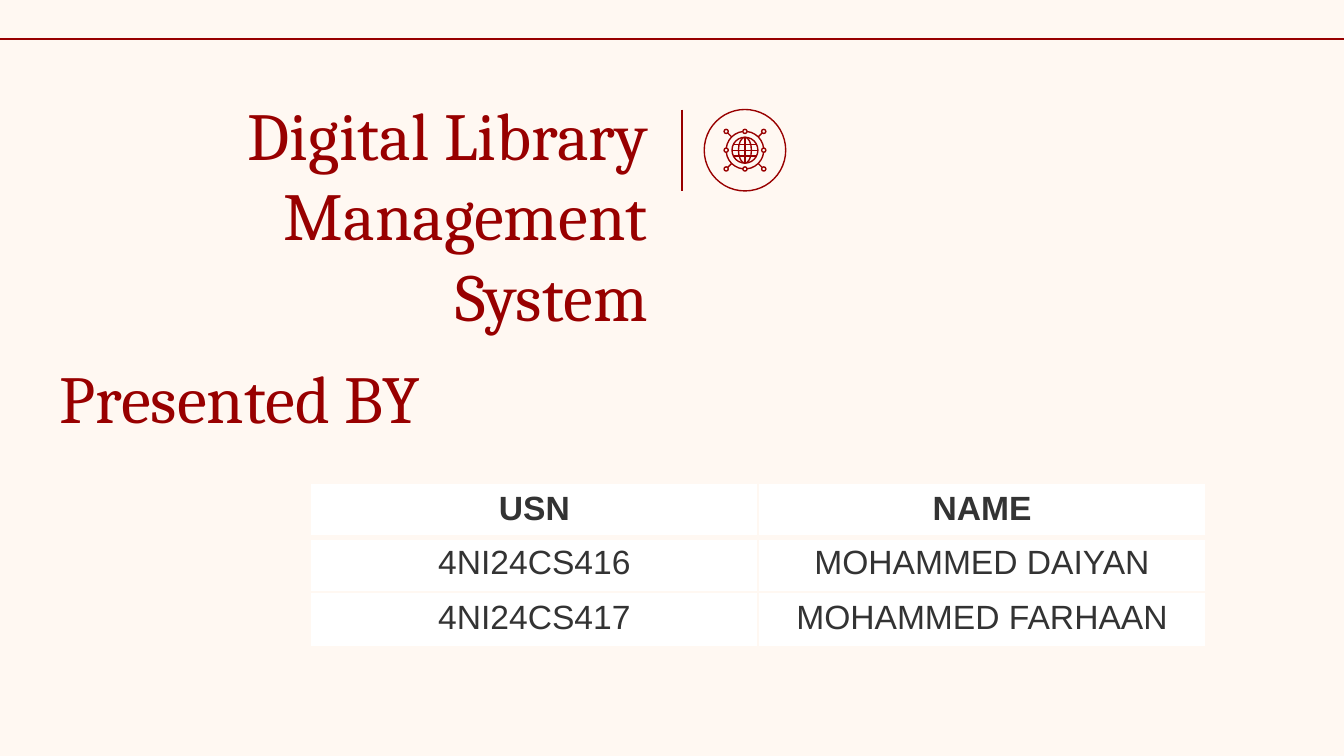
import math

from lxml import etree
from pptx import Presentation
from pptx.dml.color import RGBColor
from pptx.enum.shapes import MSO_CONNECTOR, MSO_SHAPE
from pptx.enum.text import MSO_ANCHOR, MSO_AUTO_SIZE, PP_ALIGN
from pptx.oxml.ns import qn
from pptx.util import Cm, Pt

STRAIGHT = MSO_CONNECTOR.STRAIGHT
OVAL = MSO_SHAPE.OVAL
TOP = MSO_ANCHOR.TOP
RIGHT, CENTER = PP_ALIGN.RIGHT, PP_ALIGN.CENTER
NO_AUTOFIT = MSO_AUTO_SIZE.NONE

CREAM, RED, WHITE, GREY = "FFF8F2", "980000", "FFFFFF", "333333"
SLIDE_WIDTH, SLIDE_HEIGHT = 25.4, 14.29
TITLE_ONLY = 5


def color(hex_value):
    return RGBColor.from_string(hex_value)


def write_text(frame, text, font="Cambria", size=36, fill=RED, bold=False,
               align=RIGHT):
    """Put one formatted paragraph into a text frame."""
    frame.word_wrap = True
    frame.vertical_anchor = TOP
    paragraph = frame.paragraphs[0]
    paragraph.text = text
    paragraph.alignment = align
    paragraph.font.name = font
    paragraph.font.size = Pt(size)
    paragraph.font.bold = bold
    paragraph.font.color.rgb = color(fill)


def add_line(slide, x1, y1, x2, y2):
    line = slide.shapes.add_connector(STRAIGHT, Cm(x1), Cm(y1), Cm(x2), Cm(y2))
    line.line.color.rgb = color(RED)
    line.line.width = Pt(0.75)
    etree.SubElement(line._element.spPr, qn("a:effectLst"))


def format_outline(shape):
    shape.shadow.inherit = False
    shape.fill.background()
    shape.line.color.rgb = color(RED)
    shape.line.width = Pt(0.75)


def arc(center_x, center_y, radius_x, radius_y, start=0, sweep=360, steps=16):
    """Points along an elliptical arc; angles are in degrees."""
    angles = [math.radians(start + sweep * step / steps) for step in range(steps + 1)]
    return [(center_x + radius_x * math.cos(angle), center_y + radius_y * math.sin(angle))
            for angle in angles]


def add_strokes(slide, strokes):
    """Draw several point lists as one outline shape."""
    strokes = [[(Cm(x), Cm(y)) for x, y in stroke] for stroke in strokes]
    builder = slide.shapes.build_freeform(*strokes[0][0])
    for stroke in strokes:
        builder.move_to(*stroke[0])
        builder.add_line_segments(stroke[1:], close=False)
    format_outline(builder.convert_to_shape())


def set_borders(cell, **widths):
    """Draw cell borders; keys are the sides L, R, T and B."""
    properties = cell._tc.get_or_add_tcPr()
    for side, width in widths.items():
        border = etree.SubElement(properties, qn(f"a:ln{side}"), w=str(Pt(width)))
        fill = etree.SubElement(border, qn("a:solidFill"))
        etree.SubElement(fill, qn("a:srgbClr"), val=CREAM)


def add_headings(slide, left, top, width, height):
    # Slide title
    title = slide.shapes.title
    title.left, title.top = Cm(left), Cm(top)
    title.width, title.height = Cm(width), Cm(height)
    # Presenter heading, a box of the same size further down
    presenter = slide.shapes.add_textbox(Cm(left - 4.3), Cm(top + 4.97),
                                         Cm(width), Cm(height))
    for shape, text in ((title, "Digital Library Management System"),
                        (presenter, "Presented BY")):
        frame = shape.text_frame
        frame.auto_size = NO_AUTOFIT
        frame.margin_left = frame.margin_right = Cm(0.25)
        frame.margin_top = frame.margin_bottom = Cm(0.25)
        write_text(frame, text)


def add_globe_icon(slide, center_x, center_y, size):
    """Globe inside a ring that carries eight network nodes."""
    node = 0.04
    reach = size / 2 - node
    globe = size * 0.31
    # Ring broken at the four nodes it carries
    gap = math.degrees(node / reach)
    network = [arc(center_x, center_y, reach, reach, start + gap, 90 - 2 * gap, 6)
               for start in (0, 90, 180, 270)]
    # Nodes on a three by three grid, with spokes to the corners
    ring_share, node_share = math.sqrt(0.5), 1 - node * math.sqrt(0.5) / reach
    for dx in (-1, 0, 1):
        for dy in (-1, 0, 1):
            if dx or dy:
                network.append(arc(center_x + dx * reach, center_y + dy * reach,
                                   node, node, steps=8))
            if dx and dy:
                network.append([(center_x + dx * reach * share,
                                 center_y + dy * reach * share)
                                for share in (ring_share, node_share)])
    add_strokes(slide, network)
    # Globe outline, meridians and parallels
    lines = [arc(center_x, center_y, globe, globe, steps=24),
             arc(center_x, center_y, globe / 2, globe),
             [(center_x, center_y - globe), (center_x, center_y + globe)]]
    for share in (-0.45, 0, 0.45):
        half = globe * math.sqrt(1 - share ** 2)
        y = center_y + share * globe
        lines.append([(center_x - half, y), (center_x + half, y)])
    add_strokes(slide, lines)


def add_badge(slide, left, top, width, height):
    radius = height / 2
    center_x, center_y = left + width - radius, top + radius
    circle = slide.shapes.add_shape(OVAL, Cm(center_x - radius), Cm(top),
                                    Cm(height), Cm(height))
    format_outline(circle)
    add_line(slide, left, top, left, top + height)
    add_globe_icon(slide, center_x, center_y, 0.79)


def add_member_table(slide, left, top, width, height):
    rows = [("USN", "NAME"),
            ("4NI24CS416", "MOHAMMED DAIYAN"),
            ("4NI24CS417", "MOHAMMED FARHAAN")]
    table = slide.shapes.add_table(len(rows), 2, Cm(left), Cm(top),
                                   Cm(width), Cm(height)).table
    for row_index, row in enumerate(rows):
        header = row_index == 0
        for column_index, text in enumerate(row):
            cell = table.cell(row_index, column_index)
            set_borders(cell, L=1, R=1, T=3 if row_index == 1 else 1,
                        B=3 if header else 1)
            cell.fill.solid()
            cell.fill.fore_color.rgb = color(WHITE)
            write_text(cell.text_frame, text, font="Arial", size=18, fill=GREY,
                       bold=header, align=CENTER)
            cell.vertical_anchor = TOP


def main():
    presentation = Presentation()
    presentation.slide_width = Cm(SLIDE_WIDTH)
    presentation.slide_height = Cm(SLIDE_HEIGHT)
    slide = presentation.slides.add_slide(presentation.slide_layouts[TITLE_ONLY])
    slide.background.fill.solid()
    slide.background.fill.fore_color.rgb = color(CREAM)

    # Rule across the top
    add_line(slide, 0, 0.74, SLIDE_WIDTH, 0.74)
    add_headings(slide, 1.97, 1.51, 10.52, 7.01)
    add_badge(slide, 12.89, 2.07, 1.96, 1.54)
    add_member_table(slide, 5.87, 9.13, 16.92, 3.09)
    presentation.save("out.pptx")


if __name__ == "__main__":
    main()
